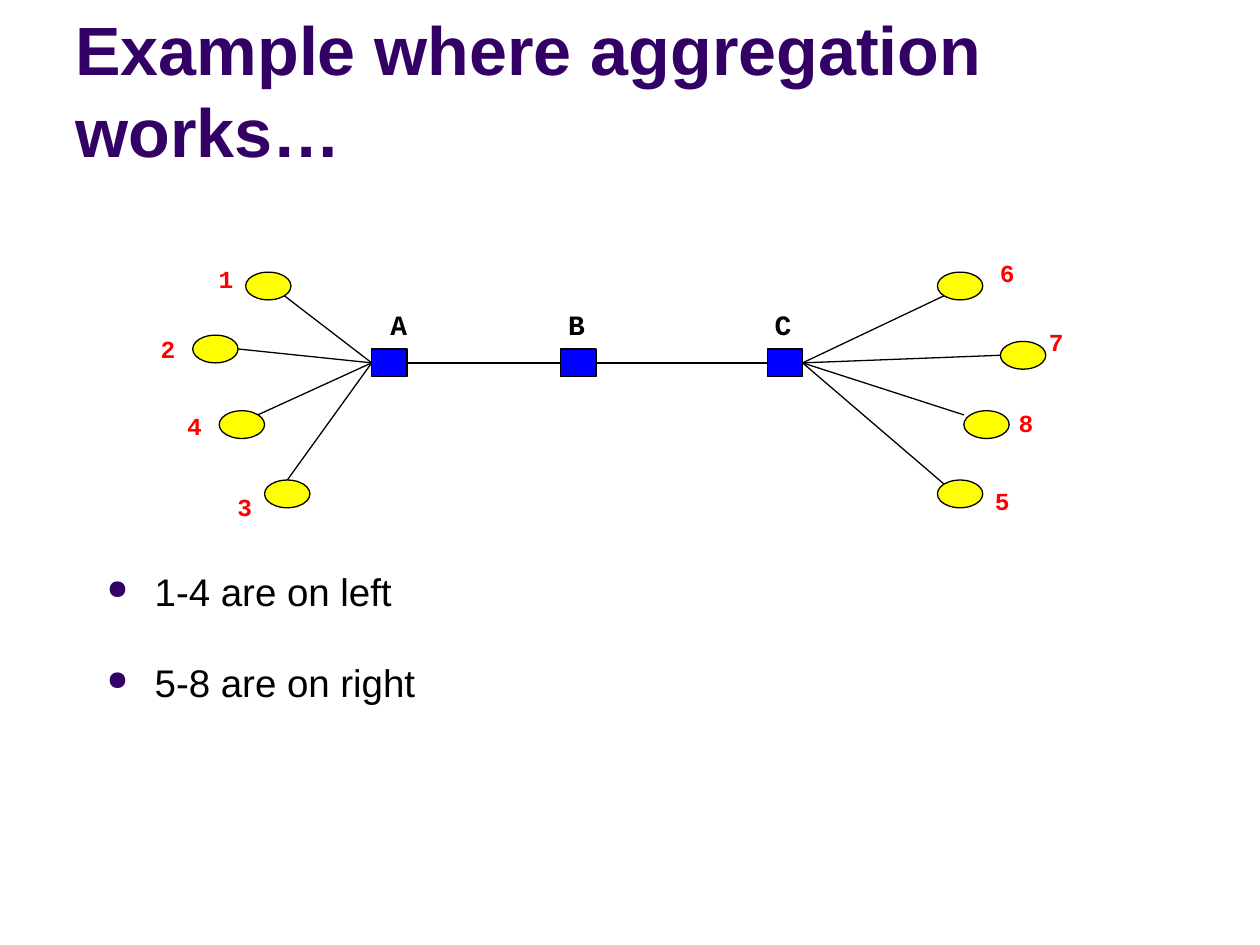
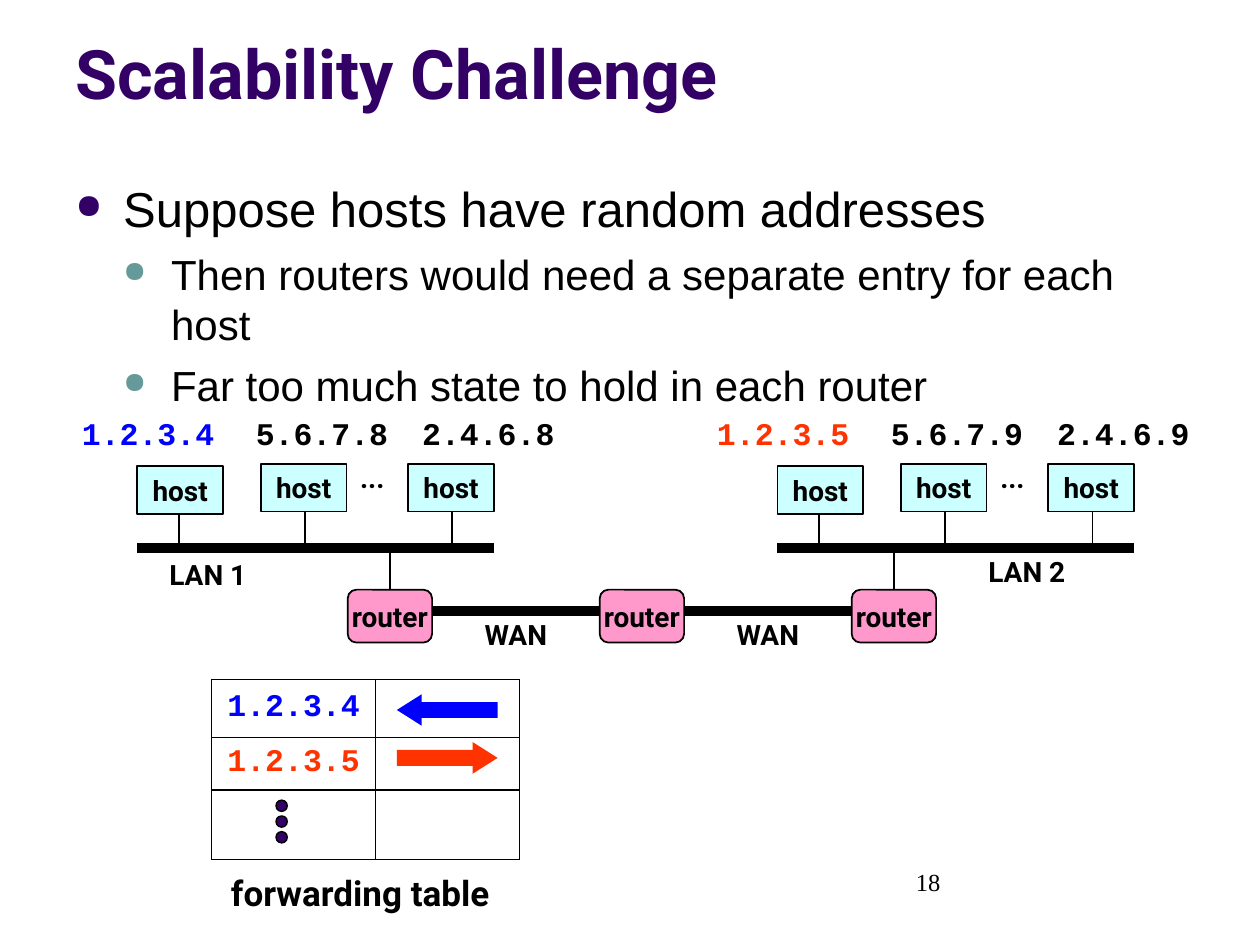
"""Two slides on address aggregation and the scalability of forwarding tables."""
from dataclasses import dataclass

from lxml import etree
from pptx import Presentation
from pptx import util as u
from pptx.dml.color import RGBColor
from pptx.enum import shapes, text
from pptx.oxml import ns

COLUMNS, ROWS = 100, 75
SLIDE_WIDTH, SLIDE_HEIGHT = u.Inches(10), u.Inches(7.5)
COLORS = {
    "title": "330066", "sub_bullet": "669999", "ink": "000000",
    "switch": "0000FF", "node": "FFFF00", "number": "FF0000",
    "host": "CCFFFF", "router": "FF99CC", "left": "0000FF", "right": "FF3300",
}
SANS, HEAVY, MONO, SERIF = "Arial", "Roboto", "Courier New", "Times New Roman"
CENTER, RIGHT = text.PP_ALIGN.CENTER, text.PP_ALIGN.RIGHT
TOP, MIDDLE, BOTTOM = (text.MSO_ANCHOR.TOP, text.MSO_ANCHOR.MIDDLE,
                       text.MSO_ANCHOR.BOTTOM)
PRESET = shapes.MSO_SHAPE
NODE_COLS, NODE_ROWS = 3.6, 2.2
SWITCH_COLS, SWITCH_ROWS = 2.8, 2.2
INDENT = 3.8


@dataclass
class Box:
    """A region of the slide, in grid columns and rows."""
    col: float
    row: float
    cols: float = 0
    rows: float = 0

    def inner(self, col, row, cols=0, rows=0):
        """Return a box placed relative to this one."""
        return Box(self.col + col, self.row + row, cols, rows)

    def share(self, over, below):
        """Return the point at the given shares of this box."""
        return self.inner(over * self.cols, below * self.rows)

    def emu(self):
        """Return left, top, width and height for the slide."""
        return (across(self.col), down(self.row),
                across(self.cols), down(self.rows))


def across(cols):
    """Convert columns to a length."""
    return u.Emu(round(SLIDE_WIDTH * cols / COLUMNS))


def down(rows):
    """Convert rows to a length."""
    return u.Emu(round(SLIDE_HEIGHT * rows / ROWS))


def rgb(color):
    """Look up a named colour."""
    return RGBColor.from_string(COLORS[color])


def add_run(paragraph, words, size, face, color="ink", bold=True):
    """Add one styled run to a paragraph."""
    run = paragraph.add_run()
    run.text = words
    run.font.size, run.font.name, run.font.bold = u.Pt(size), face, bold
    run.font.color.rgb = rgb(color)


def write(frame, words, size, face, color="ink", align=None, anchor=TOP,
          wrap=False, bold=True):
    """Write a single paragraph into a text frame."""
    frame.word_wrap, frame.vertical_anchor = wrap, anchor
    frame.paragraphs[0].alignment = align
    add_run(frame.paragraphs[0], words, size, face, color, bold)


def label(slide, box, words, size, face, **style):
    """Add a text box holding one paragraph."""
    write(slide.shapes.add_textbox(*box.emu()).text_frame,
          words, size, face, **style)


def add_figure(slide, preset, box, fill, line=0.75):
    """Add a filled preset shape with a dark outline, or none if line is 0."""
    figure = slide.shapes.add_shape(preset, *box.emu())
    figure.shadow.inherit = False
    figure.fill.solid()
    figure.fill.fore_color.rgb = rgb(fill)
    if line:
        figure.line.color.rgb = rgb("ink")
        figure.line.width = u.Pt(line)
    else:
        figure.line.fill.background()
    return figure


def link(slide, start, end, width=0.75):
    """Draw a straight line between two points."""
    wire = slide.shapes.add_connector(
        shapes.MSO_CONNECTOR.STRAIGHT, *start.emu()[:2], *end.emu()[:2])
    wire.line.color.rgb = rgb("ink")
    wire.line.width = u.Pt(width)
    etree.SubElement(wire._element.spPr, ns.qn("a:effectLst"))


def title(slide, box, words, face):
    """Place the slide title at the foot of its box."""
    label(slide, box, words, 39, face, color="title", anchor=BOTTOM, wrap=True)


def bullets(slide, box, items, gap, spacing=1.0):
    """Place bulleted items given as (level, size, words)."""
    frame = slide.shapes.add_textbox(*box.emu()).text_frame
    frame.word_wrap = True
    for index, (level, size, words) in enumerate(items):
        item = frame.add_paragraph() if index else frame.paragraphs[0]
        item.line_spacing = spacing
        item.space_before = u.Pt(gap if index else 0)
        props = item._p.get_or_add_pPr()
        props.set("marL", str(across(INDENT * (level + 1))))
        props.set("indent", str(-across(INDENT)))
        tint = etree.SubElement(props, ns.qn("a:buClr"))
        etree.SubElement(tint, ns.qn("a:srgbClr"),
                         val=COLORS["sub_bullet" if level else "title"])
        etree.SubElement(props, ns.qn("a:buSzPct"), val="70000")
        etree.SubElement(props, ns.qn("a:buChar"), char="●")
        add_run(item, words, size, SANS, bold=False)


def cluster(slide, box, hub, nodes):
    """Draw numbered nodes, each linked to the hub point."""
    for number, spot, number_spot, joint in nodes:
        node = box.inner(*spot, NODE_COLS, NODE_ROWS)
        link(slide, box.inner(*hub), node.share(*joint))
        add_figure(slide, PRESET.OVAL, node, "node")
        label(slide, box.inner(*number_spot, 3.2, 3.4), number, 14, MONO,
              color="number", align=RIGHT)


def backbone(slide, box, switches):
    """Draw the row of lettered switches and the lines between them."""
    previous = None
    for letter, col, letter_col in switches:
        switch = box.inner(col, 3.8, SWITCH_COLS, SWITCH_ROWS)
        add_figure(slide, PRESET.RECTANGLE, switch, "switch")
        label(slide, box.inner(letter_col, 0, 3.4, 3.7), letter, 16, MONO,
              align=RIGHT)
        if previous:
            link(slide, previous.share(1, 0.5), switch.share(0, 0.5))
        previous = switch


def addresses(slide, box, names, first_color):
    """Write the host addresses in a row, the first one coloured."""
    for index, (col, name) in enumerate(zip((0, 13.8, 27), names)):
        label(slide, box.inner(col, 0, 12.5, 4), name, 18, MONO,
              color="ink" if index else first_color, align=CENTER)


def lan(slide, box, name, name_spot):
    """Draw three hosts hanging on a local bus at the foot of the box."""
    link(slide, box.share(0, 1), box.share(1, 1), 6)
    for col, row, drop in ((0, 0.2, 3.3), (9.8, 0, 13.3), (21.5, 0, 25)):
        link(slide, box.inner(drop, 3.4), box.inner(drop, box.rows), 1)
        host = add_figure(slide, PRESET.RECTANGLE,
                          box.inner(col, row, 6.8, 3.8), "host", 1)
        write(host.text_frame, "host", 16, HEAVY, align=CENTER, anchor=MIDDLE)
    label(slide, box.inner(*name_spot, 8.4, 3.7), name, 16, HEAVY,
          align=CENTER, anchor=MIDDLE)
    label(slide, box.inner(16.7, -0.8, 3.9, 3.7), "...", 16, HEAVY,
          align=CENTER, anchor=MIDDLE, wrap=True)


def wan(slide, box):
    """Draw three routers joined by wide-area links, the outer two to a LAN."""
    step, width, height = 20, 6.7, 4.2
    for index in range(3):
        spot = box.inner(index * step, 3.3, width, height)
        if index != 1:
            link(slide, spot.inner(width / 2, -3.3), spot.share(0.5, 0), 1)
        if index < 2:
            link(slide, spot.inner(width, 1.7), spot.inner(step, 1.7), 6)
            label(slide, spot.inner(9.7, 1.7, 7.3, 3.7), "WAN", 16, HEAVY,
                  align=CENTER, anchor=MIDDLE)
        router = add_figure(slide, PRESET.ROUNDED_RECTANGLE, spot, "router", 1)
        write(router.text_frame, "router", 16, HEAVY, align=CENTER,
              anchor=MIDDLE)


def border(cell):
    """Give a table cell thin dark borders and no fill."""
    props = cell._tc.get_or_add_tcPr()
    for side in ("lnL", "lnR", "lnT", "lnB"):
        edge = etree.SubElement(props, ns.qn(f"a:{side}"), w=str(u.Pt(0.75)))
        paint = etree.SubElement(edge, ns.qn("a:solidFill"))
        etree.SubElement(paint, ns.qn("a:srgbClr"), val=COLORS["ink"])
    cell.fill.background()


def forwarding_table(slide, box, routes):
    """Draw the forwarding table with its arrows, dots and caption."""
    table = slide.shapes.add_table(3, 2, *box.emu()).table
    table.first_row = table.horz_banding = False
    for column, cols in zip(table.columns, (13, 11.4)):
        column.width = across(cols)
    for row, rows in zip(table.rows, (4.6, 4.2, 5.5)):
        row.height = down(rows)
    for cell in table.iter_cells():
        cell.margin_left = cell.margin_right = 0
        cell.margin_top = cell.margin_bottom = 0
        border(cell)
    for index, (address, color, arrow) in enumerate(routes):
        cell = table.cell(index, 0)
        cell.vertical_anchor = MIDDLE
        cell.text_frame.paragraphs[0].alignment = CENTER
        add_run(cell.text_frame.paragraphs[0], address, 18, MONO, color)
        pointer = add_figure(
            slide, arrow, box.inner(14.7, 1.2 + 3.8 * index, 8, 2.5), color, 0)
        pointer.adjustments[0], pointer.adjustments[1] = 0.5, 0.79
    for index in range(3):
        add_figure(slide, PRESET.OVAL,
                   box.inner(5.1, 9.6 + 1.25 * index, 0.9, 0.9), "title")
    label(slide, box.inner(0, 14.8, 23.6, 4.3), "forwarding table", 20, HEAVY,
          align=CENTER)


def aggregation_slide(slide):
    """Build the slide on aggregation that works."""
    title(slide, Box(5, 1.3, 90, 12.8), "Example where aggregation works…", SANS)
    bullets(slide, Box(7.5, 45.3, 85, 27.9),
            [(0, 22, "1-4 are on left"), (0, 22, "5-8 are on right")], 31, 0.8)
    cluster(slide, Box(11, 20), (18.5, 8.8), [
        ("1", (8.5, 1.6), (5.3, 0.5), (0.85, 0.85)),
        ("2", (4.3, 6.6), (0.7, 6), (1, 0.5)),
        ("4", (6.4, 12.6), (2.8, 12.1), (0.85, 0.15)),
        ("3", (10, 18.1), (6.8, 18.6), (0.5, 0)),
    ])
    cluster(slide, Box(63, 20), (0.7, 8.8), [
        ("6", (11.4, 1.6), (15.3, 0), (0.15, 0.85)),
        ("7", (16.4, 7.1), (19.2, 5.5), (0, 0.5)),
        ("8", (13.5, 12.6), (16.8, 11.9), (0, 0.15)),
        ("5", (11.4, 18.1), (14.9, 18.1), (0.15, 0.15)),
    ])
    backbone(slide, Box(29.5, 23.9),
             [("A", 0, 0.4), ("B", 15, 14.5), ("C", 31.4, 30.9)])


def scalability_slide(slide):
    """Build the slide on the scalability challenge."""
    title(slide, Box(5, -3.3, 90, 12.8), "Scalability Challenge", HEAVY)
    bullets(slide, Box(5, 13.7, 90, 20), [
        (0, 28, "Suppose hosts have random addresses"),
        (1, 24, "Then routers would need a separate entry for each host"),
        (1, 24, "Far too much state to hold in each router"),
    ], 6)
    label(slide, Box(71.7, 68.3, 23.3, 5), "18", 14, SERIF, bold=False,
          wrap=True)
    lan(slide, Box(10.9, 36.8, 28.3, 6.7), "LAN 1", (1.4, 6.9))
    lan(slide, Box(61.7, 36.8, 28.3, 6.7), "LAN 2", (15.6, 6.7))
    wan(slide, Box(27.6, 43.5))
    addresses(slide, Box(5.5, 32.4), ("1.2.3.4", "5.6.7.8", "2.4.6.8"), "left")
    addresses(slide, Box(55.9, 32.4), ("1.2.3.5", "5.6.7.9", "2.4.6.9"), "right")
    forwarding_table(slide, Box(16.8, 53.9, 24.4, 14.3), [
        ("1.2.3.4", "left", PRESET.LEFT_ARROW),
        ("1.2.3.5", "right", PRESET.RIGHT_ARROW),
    ])


def main():
    """Build both slides and save the deck."""
    deck = Presentation()
    deck.slide_width, deck.slide_height = SLIDE_WIDTH, SLIDE_HEIGHT
    for build in (aggregation_slide, scalability_slide):
        build(deck.slides.add_slide(deck.slide_layouts[6]))
    deck.save("out.pptx")


if __name__ == "__main__":
    main()
